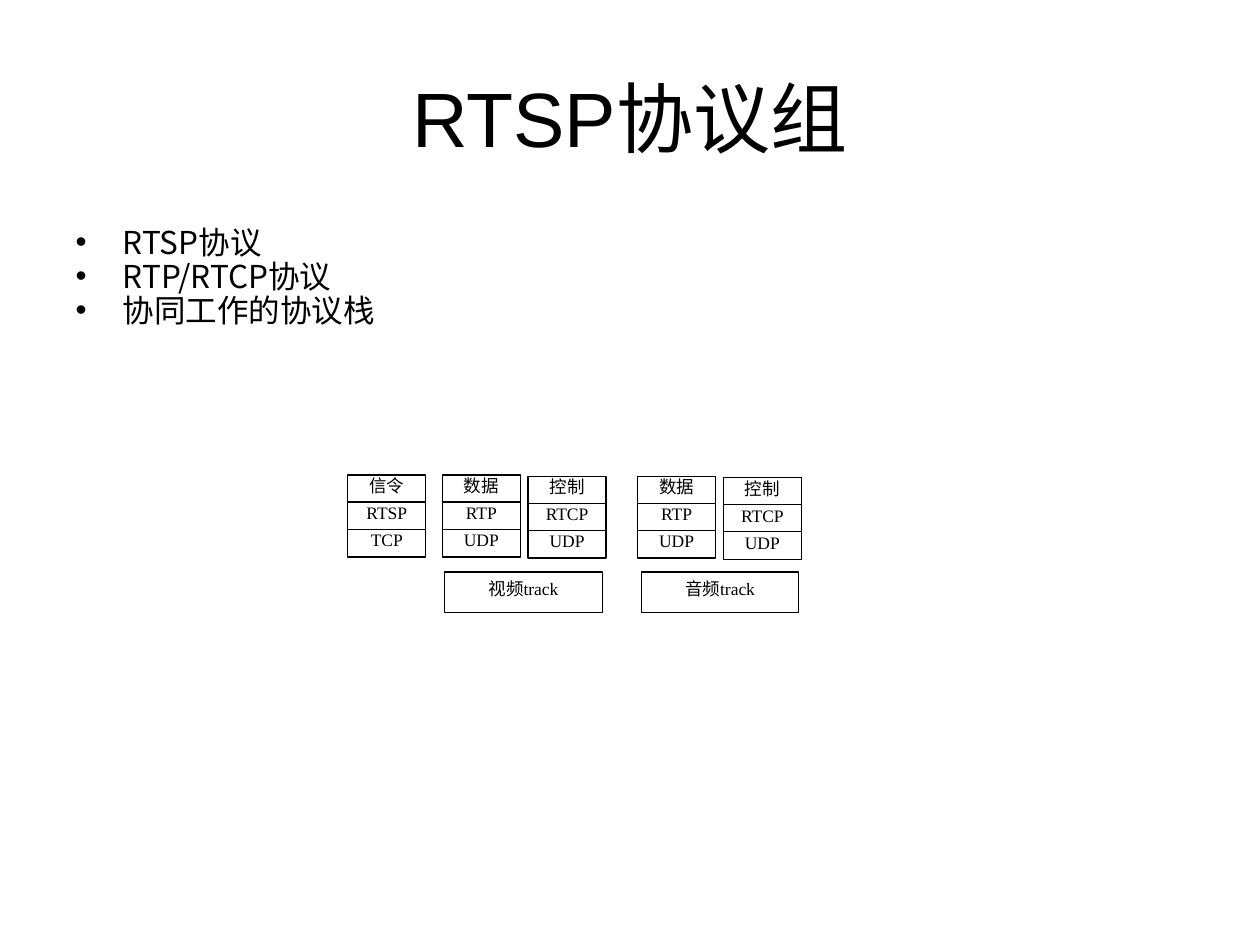
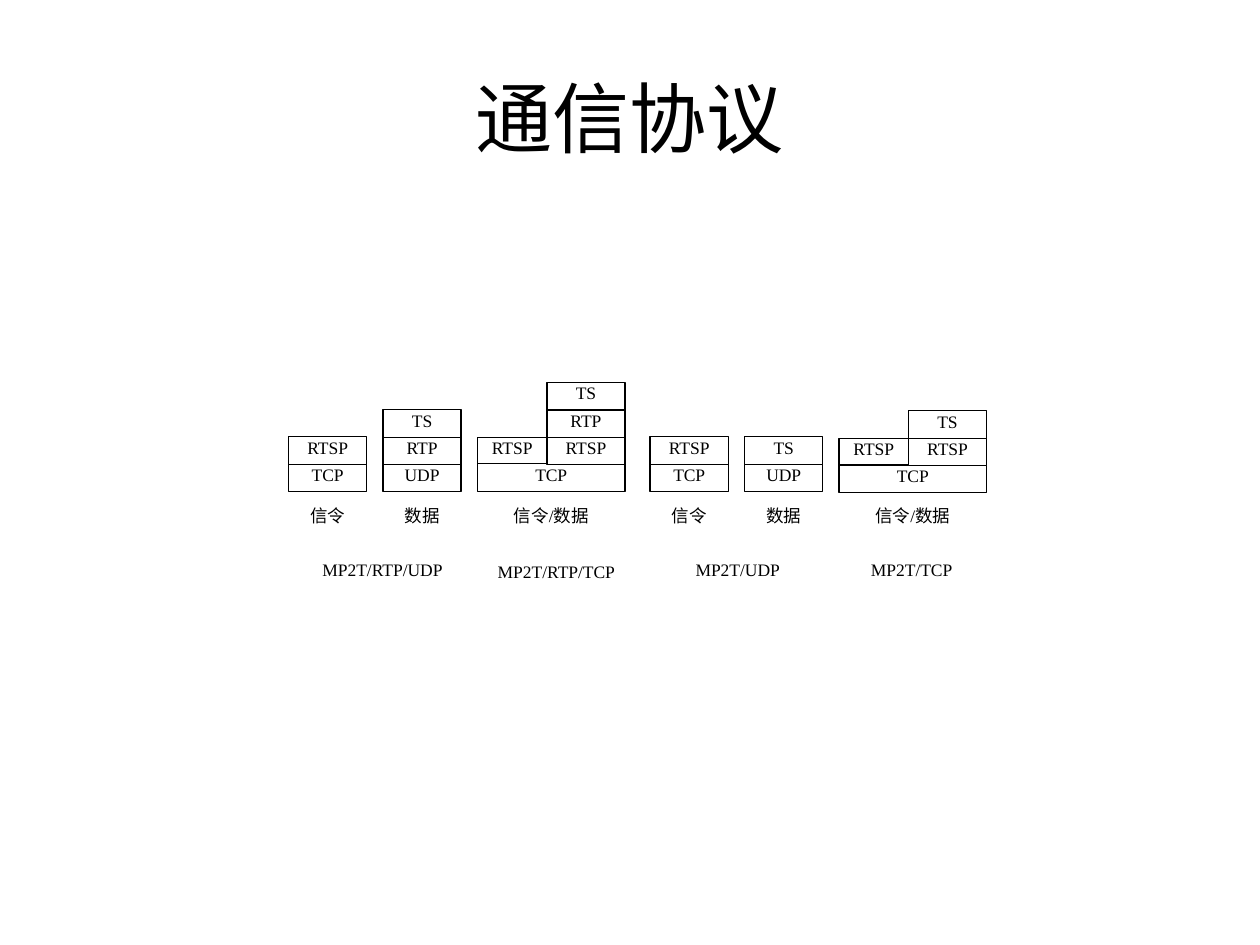
from dataclasses import dataclass

from pptx import Presentation
from pptx.dml.color import RGBColor
from pptx.enum.shapes import MSO_SHAPE
from pptx.enum.text import MSO_ANCHOR, MSO_AUTO_SIZE, PP_ALIGN
from pptx.util import Inches, Pt


@dataclass(frozen=True)
class Theme:
    ink: RGBColor = RGBColor(0, 0, 0)
    paper: RGBColor = RGBColor(255, 255, 255)
    title_font: str = "Arial"
    body_font: str = "Noto Sans CJK SC"
    diagram_font: str = "Times New Roman"
    title_size: Pt = Pt(44)
    body_size: Pt = Pt(18)
    diagram_size: Pt = Pt(10)
    outline: Pt = Pt(0.75)


theme = Theme()
CELL_WIDTH, CELL_HEIGHT, ROW_STEP = 0.62, 0.22, 0.215
SIDE_WIDTH, TRACK_WIDTH = 0.55, 1.25
WIDE_WIDTH = SIDE_WIDTH + CELL_WIDTH


def add_page(layout_index, title):
    page = deck.slides.add_slide(deck.slide_layouts[layout_index])
    box = page.shapes.title
    box.left, box.top = Inches(0.5), Inches(0.3)
    box.width, box.height = Inches(9), Inches(1.25)
    frame = box.text_frame
    frame.text = title
    frame.auto_size = MSO_AUTO_SIZE.NONE
    frame.vertical_anchor = MSO_ANCHOR.MIDDLE
    para = frame.paragraphs[0]
    para.alignment = PP_ALIGN.CENTER
    para.font.name, para.font.size = theme.title_font, theme.title_size
    para.font.color.rgb = theme.ink
    return page


def add_label(page, text, left, top, width=CELL_WIDTH, height=CELL_HEIGHT,
              framed=True, inset=(0, 0)):
    place = [Inches(value) for value in (left, top, width, height)]
    if framed:
        box = page.shapes.add_shape(MSO_SHAPE.RECTANGLE, *place)
        box.shadow.inherit = False
        box.fill.solid()
        box.fill.fore_color.rgb = theme.paper
        box.line.color.rgb = theme.ink
        box.line.width = theme.outline
    else:
        box = page.shapes.add_textbox(*place)
    frame = box.text_frame
    frame.word_wrap = True
    frame.vertical_anchor = MSO_ANCHOR.TOP
    frame.margin_left = frame.margin_right = Inches(inset[0])
    frame.margin_top = frame.margin_bottom = Inches(inset[1])
    frame.text = text
    para = frame.paragraphs[0]
    para.alignment = PP_ALIGN.CENTER
    para.font.name, para.font.size = theme.diagram_font, theme.diagram_size
    para.font.color.rgb = theme.ink


deck = Presentation()
deck.slide_width, deck.slide_height = Inches(10), Inches(7.5)

page = add_page(1, "RTSP协议组")
body = page.placeholders[1]
body.left, body.top = Inches(0.5), Inches(1.75)
body.width, body.height = Inches(9), Inches(1.06)
body.text_frame.text = "RTSP协议\nRTP/RTCP协议\n协同工作的协议栈"
body.text_frame.auto_size = MSO_AUTO_SIZE.NONE
for para in body.text_frame.paragraphs:
    para.line_spacing = 0.9
    para.space_before = Pt(0)
    para.font.name, para.font.size = theme.body_font, theme.body_size
    para.font.color.rgb = theme.ink

protocol_stacks = [
    (3.51, 3.77, ["数据", "RTP", "UDP"]),
    (2.76, 3.77, ["信令", "RTSP", "TCP"]),
    (4.19, 3.78, ["控制", "RTCP", "UDP"]),
    (5.06, 3.78, ["数据", "RTP", "UDP"]),
    (5.74, 3.79, ["控制", "RTCP", "UDP"]),
]
for left, top, layers in protocol_stacks:
    for row, layer in enumerate(layers):
        add_label(page, layer, left, top + row * ROW_STEP)
for left, track in [(3.53, "视频track"), (5.09, "音频track")]:
    add_label(page, track, left, 4.54, TRACK_WIDTH, 0.32, inset=(0.1, 0.05))

page = add_page(5, "通信协议")
separate_stacks = [
    (2.29, "信令", ["RTSP", "TCP"]),
    (3.04, "数据", ["TS", "RTP", "UDP"]),
    (5.16, "信令", ["RTSP", "TCP"]),
    (5.91, "数据", ["TS", "UDP"]),
]
for left, caption, layers in separate_stacks:
    for row, layer in enumerate(reversed(layers)):
        add_label(page, layer, left, 3.68 - row * ROW_STEP)
    add_label(page, caption, left, 4.01, framed=False)

shared_stacks = [
    (3.79, 3.68, ["TS", "RTP", "RTSP"]),
    (6.66, 3.69, ["TS", "RTSP"]),
]
for left, base, layers in shared_stacks:
    add_label(page, "RTSP", left, base - 0.21, SIDE_WIDTH)
    add_label(page, "TCP", left, base, WIDE_WIDTH)
    for row, layer in enumerate(reversed(layers), start=1):
        add_label(page, layer, left + SIDE_WIDTH, base - row * ROW_STEP)
    add_label(page, "信令/数据", left, 4.01, WIDE_WIDTH, framed=False)

transports = [
    (2.41, 4.44, "MP2T/RTP/UDP"),
    (3.79, 4.45, "MP2T/RTP/TCP"),
    (5.23, 4.44, "MP2T/UDP"),
    (6.61, 4.44, "MP2T/TCP"),
]
for left, top, transport in transports:
    add_label(page, transport, left, top, TRACK_WIDTH, framed=False)

deck.save("out.pptx")
